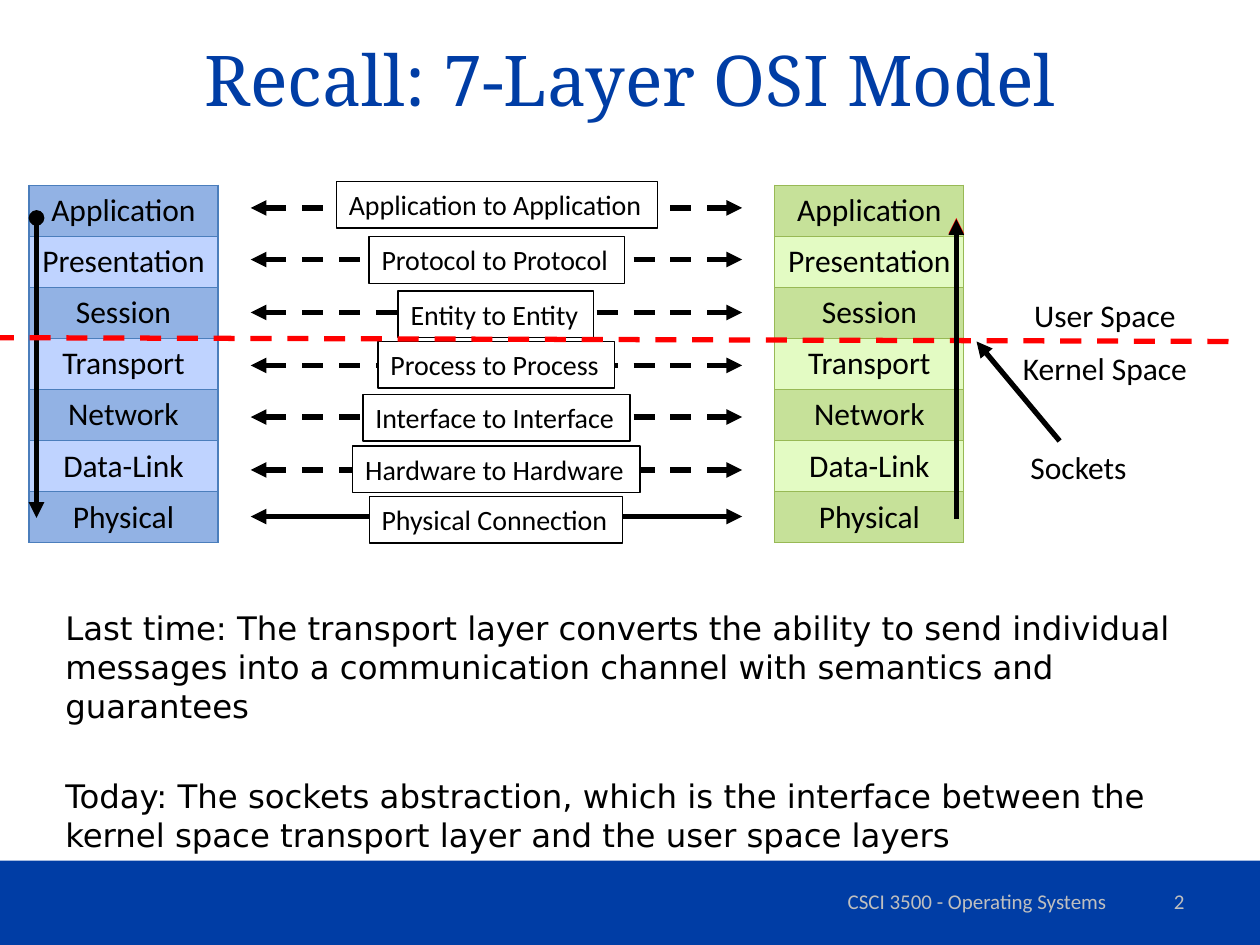
from lxml import etree
from pptx import Presentation
from pptx.dml.color import RGBColor
from pptx.enum.dml import MSO_LINE
from pptx.enum.shapes import MSO_CONNECTOR, MSO_SHAPE
from pptx.enum.text import MSO_ANCHOR, PP_ALIGN
from pptx.oxml.ns import qn
from pptx.util import Inches, Pt

LEFT, CENTER, RIGHT = PP_ALIGN.LEFT, PP_ALIGN.CENTER, PP_ALIGN.RIGHT
TOP, MIDDLE = MSO_ANCHOR.TOP, MSO_ANCHOR.MIDDLE
DASH = MSO_LINE.DASH
COLORS = {
    "royal": "003DA5", "black": "000000", "white": "FFFFFF",
    "red": "FF0000", "footer": "BFBFBF",
    "blue_dark": "92B2E4", "blue_light": "BFD3FF", "blue_edge": "4B7EBC",
    "green_dark": "C6E199", "green_light": "E3FBC3", "green_edge": "98B955",
}
RGB = {name: RGBColor.from_string(value) for name, value in COLORS.items()}

prs = Presentation()
prs.slide_width, prs.slide_height = Inches(10), Inches(7.5)
slide = prs.slides.add_slide(prs.slide_layouts[6])
shapes = slide.shapes


def write(frame, paragraphs, size, color="black", font="Calibri",
          align=LEFT, anchor=TOP, wrap=True, gap=0):
    """Fill a text frame; gap is the space in points between paragraphs."""
    frame.text = "\n".join(paragraphs)
    frame.word_wrap = wrap
    frame.vertical_anchor = anchor
    for index, paragraph in enumerate(frame.paragraphs):
        paragraph.alignment = align
        paragraph.space_before = Pt(gap if index else 0)
        for run in paragraph.runs:
            run.font.size = Pt(size)
            run.font.name = font
            run.font.bold = False
            run.font.color.rgb = RGB[color]


def add_line(start, end, color="black", dash=None, head=None, tail=None):
    """Draw a 3 pt line; head and tail are arrowhead types at start and end."""
    line = shapes.add_connector(MSO_CONNECTOR.STRAIGHT,
                                *(Inches(v) for v in (*start, *end)))
    line.line.color.rgb = RGB[color]
    line.line.width = Pt(3)
    if dash:
        line.line.dash_style = dash
    for tag, kind in (("a:headEnd", head), ("a:tailEnd", tail)):
        if kind:
            etree.SubElement(line.line._get_or_add_ln(), qn(tag), type=kind)
    etree.SubElement(line._element.spPr, qn("a:effectLst"))


# Footer band, title, body and footer text
band = shapes.add_shape(MSO_SHAPE.RECTANGLE, 0, Inches(6.83), Inches(10), Inches(0.67))
band.shadow.inherit = False
band.fill.solid()
band.fill.fore_color.rgb = RGB["royal"]
band.line.fill.background()

title = shapes.add_textbox(Inches(0.5), 0, Inches(9), Inches(1.25))
write(title.text_frame, ["Recall: 7-Layer OSI Model"], 40, "royal", "Noto Serif",
      CENTER, MIDDLE)

body = shapes.add_textbox(Inches(0.42), Inches(4.78), Inches(9), Inches(1.98))
write(body.text_frame, [
    "Last time: The transport layer converts the ability to send individual "
    "messages into a communication channel with semantics and guarantees",
    "Today: The sockets abstraction, which is the interface between the "
    "kernel space transport layer and the user space layers",
], 18.5, font="DejaVu Sans", gap=29)

for text, left, width, align in (
    ("CSCI 3500 - Operating Systems", 6.17, 3.17, CENTER),
    ("2", 7.17, 2.33, RIGHT),
):
    footer = shapes.add_textbox(Inches(left), Inches(6.95), Inches(width), Inches(0.4))
    write(footer.text_frame, [text], 12, "footer", align=align, anchor=MIDDLE)

# The two layer stacks
layers = ["Application", "Presentation", "Session", "Transport",
          "Network", "Data-Link", "Physical"]
for left, hue in ((0.23, "blue"), (6.15, "green")):
    stack = shapes.add_table(len(layers), 1, Inches(left), Inches(1.47),
                             Inches(1.5), Inches(2.84)).table
    stack.first_row = stack.horz_banding = False
    for index, layer in enumerate(layers):
        cell = stack.cell(index, 0)
        write(cell.text_frame, [layer], 18, align=CENTER)
        cell.fill.solid()
        cell.fill.fore_color.rgb = RGB[f"{hue}_{'light' if index % 2 else 'dark'}"]
        properties = cell._tc.get_or_add_tcPr()
        for position, side in enumerate(("lnL", "lnR", "lnT", "lnB")):
            border = etree.Element(qn(f"a:{side}"), w=str(Pt(0.75)))
            fill = etree.SubElement(border, qn("a:solidFill"))
            etree.SubElement(fill, qn("a:srgbClr"), val=COLORS[f"{hue}_edge"])
            properties.insert(position, border)

# Peer links: label, arrow height, label left, top and width
links = [
    ("Application to Application", 1.65, 2.67, 1.44, 2.55),
    ("Protocol to Protocol", 2.06, 2.93, 1.88, 2.03),
    ("Entity to Entity", 2.48, 3.16, 2.31, 1.55),
    ("Process to Process", 2.9, 3, 2.71, 1.88),
    ("Interface to Interface", 3.31, 2.88, 3.13, 2.12),
    ("Hardware to Hardware", 3.73, 2.8, 3.54, 2.28),
    ("Physical Connection", 4.1, 2.93, 3.94, 2.01),
]
for text, y, left, top, width in links:
    add_line((1.99, y), (5.89, y), dash=None if text == "Physical Connection" else DASH,
             head="triangle", tail="triangle")
    label = shapes.add_shape(MSO_SHAPE.RECTANGLE, Inches(left), Inches(top),
                             Inches(width), Inches(0.37))
    label.shadow.inherit = False
    label.fill.solid()
    label.fill.fore_color.rgb = RGB["white"]
    label.line.color.rgb = RGB["black"]
    label.line.width = Pt(0.75)
    write(label.text_frame, [text], 16, wrap=False)

# Data flow down and up the stacks, and the user/kernel boundary
add_line((0.29, 1.73), (0.29, 4.11), head="oval", tail="triangle")
add_line((7.59, 4.11), (7.59, 1.73), "red", tail="triangle")
add_line((9.75, 2.71), (0, 2.68), "red", DASH)
add_line((8.41, 3.5), (7.75, 2.71), tail="triangle")
add_line((7.59, 4.12), (7.59, 1.74), tail="triangle")

for text, left, top, width in (
    ("User Space", 8.11, 2.3, 1.34),
    ("Kernel Space", 8.02, 2.72, 1.52),
    ("Sockets", 8.08, 3.51, 0.97),
):
    note = shapes.add_textbox(Inches(left), Inches(top), Inches(width), Inches(0.4))
    write(note.text_frame, [text], 18, wrap=False)

prs.save("out.pptx")
